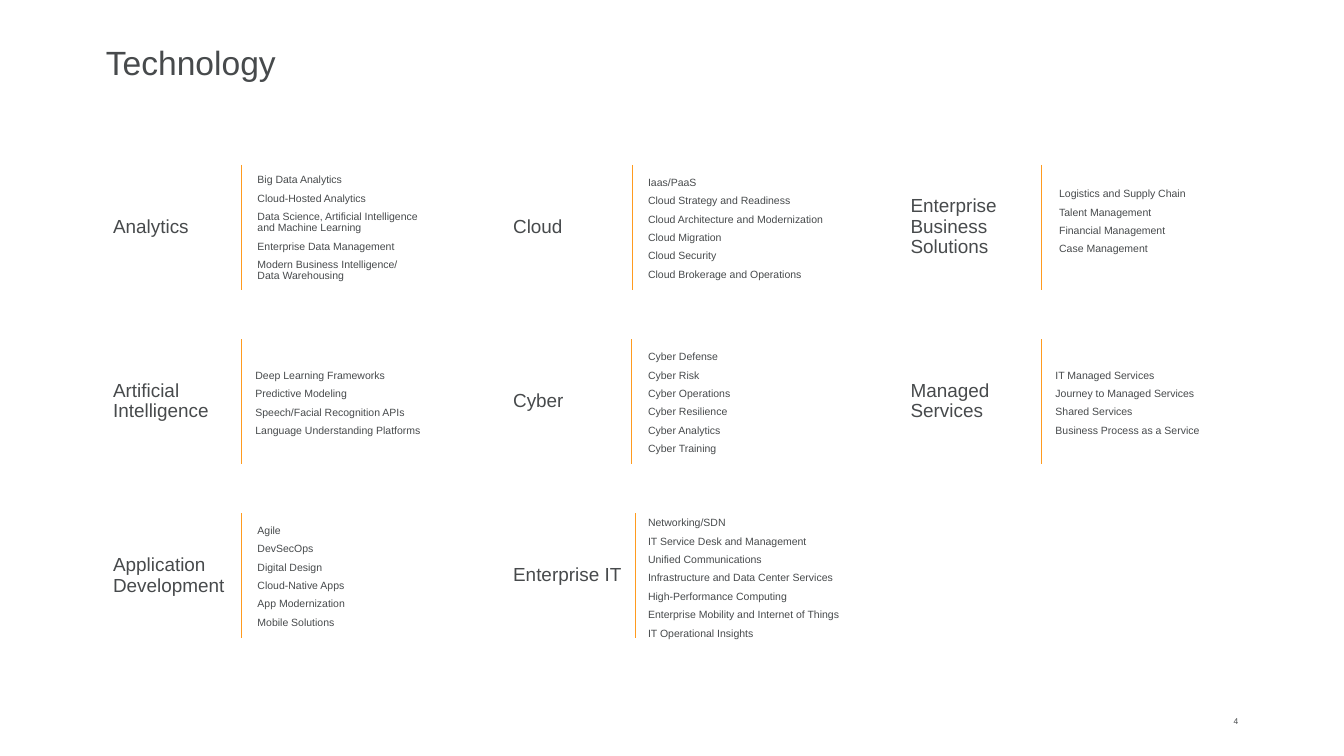
"""Build the Technology slide: a grid of capability topics with their offerings."""
import lxml.etree
import pptx
import pptx.dml.color
import pptx.enum.shapes
import pptx.enum.text
import pptx.oxml.ns
import pptx.util

TOPICS = [
    {"name": "Analytics", "cell": (0, 0), "rule_x": 460, "list_at": (481, 318), "items": [
        "Big Data Analytics", "Cloud-Hosted Analytics",
        "Data Science, Artificial Intelligence\nand Machine Learning",
        "Enterprise Data Management", "Modern Business Intelligence/\nData Warehousing"]},
    {"name": "Cloud", "cell": (0, 1), "rule_x": 1204, "list_at": (1225, 319), "items": [
        "Iaas/PaaS", "Cloud Strategy and Readiness", "Cloud Architecture and Modernization",
        "Cloud Migration", "Cloud Security", "Cloud Brokerage and Operations"]},
    {"name": "Enterprise Business Solutions", "cell": (0, 2), "rule_x": 1983,
     "list_at": (2008, 306), "items": [
        "Logistics and Supply Chain", "Talent Management", "Financial Management",
        "Case Management"]},
    {"name": "Artificial Intelligence", "cell": (1, 0), "rule_x": 460,
     "list_at": (477, 652), "items": [
        "Deep Learning Frameworks", "Predictive Modeling", "Speech/Facial Recognition APIs",
        "Language Understanding Platforms"]},
    {"name": "Cyber", "cell": (1, 1), "rule_x": 1203, "list_at": (1225, 651), "items": [
        "Cyber Defense", "Cyber Risk", "Cyber Operations", "Cyber Resilience",
        "Cyber Analytics", "Cyber Training"]},
    {"name": "Managed Services", "cell": (1, 2), "rule_x": 1983, "list_at": (2001, 651), "items": [
        "IT Managed Services", "Journey to Managed Services", "Shared Services",
        "Business Process as a Service"]},
    {"name": "Application Development", "cell": (2, 0), "rule_x": 460,
     "list_at": (481, 982), "items": [
        "Agile", "DevSecOps", "Digital Design", "Cloud-Native Apps", "App Modernization",
        "Mobile Solutions"]},
    {"name": "Enterprise IT", "cell": (2, 1), "rule_x": 1209, "list_at": (1225, 985), "items": [
        "Networking/SDN", "IT Service Desk and Management", "Unified Communications",
        "Infrastructure and Data Center Services", "High-Performance Computing",
        "Enterprise Mobility and Internet of Things", "IT Operational Insights"]},
]

TEXT_COLOR = pptx.dml.color.RGBColor(0x47, 0x4A, 0x4C)
RULE_COLOR = pptx.dml.color.RGBColor(0xFF, 0x9B, 0x1F)
CARD_COLOR = pptx.dml.color.RGBColor(0xFF, 0xFF, 0xFF)
FONT = "Arial"
EMU_PER_PX = 9525

CARD_LEFTS = (192, 950, 1705)
HEADING_LEFTS = (206, 968, 1725)
FIRST_ROW_TOP, ROW_PITCH = 288, 332
CARD_SIZE = (660, 290)
HEADING_SIZE, HEADING_OFFSET = (280, 89), 100
LIST_SIZE = (384, 234)
RULE_HEIGHT, RULE_OFFSET = 238, 26


def px(*lengths):
    return [pptx.util.Emu(length * EMU_PER_PX) for length in lengths]


def format_paragraph(paragraph, size, alignment=pptx.enum.text.PP_ALIGN.LEFT, spacing=0.9):
    paragraph.alignment = alignment
    paragraph.line_spacing = spacing
    paragraph.font.name = FONT
    paragraph.font.size = pptx.util.Pt(size)
    paragraph.font.color.rgb = TEXT_COLOR


def add_text(slide, position, box_size, lines, size, **formatting):
    frame = slide.shapes.add_textbox(*px(*position, *box_size)).text_frame
    frame.word_wrap = True
    frame.vertical_anchor = pptx.enum.text.MSO_ANCHOR.MIDDLE
    for index, line in enumerate(lines):
        paragraph = frame.add_paragraph() if index else frame.paragraphs[0]
        paragraph.text = line
        paragraph.space_before = pptx.util.Pt(10 if index else 0)
        format_paragraph(paragraph, size, **formatting)


def add_card(slide, left, top):
    card = slide.shapes.add_shape(
        pptx.enum.shapes.MSO_SHAPE.RECTANGLE, *px(left, top, *CARD_SIZE))
    card.shadow.inherit = False
    card.fill.solid()
    card.fill.fore_color.rgb = CARD_COLOR
    card.line.fill.background()


def add_rule(slide, left, top):
    rule = slide.shapes.add_connector(
        pptx.enum.shapes.MSO_CONNECTOR.STRAIGHT, *px(left, top, left, top + RULE_HEIGHT))
    rule.line.color.rgb = RULE_COLOR
    rule.line.width = pptx.util.Pt(0.25)
    lxml.etree.SubElement(rule._element.spPr, pptx.oxml.ns.qn("a:effectLst"))


def add_title(slide, text):
    title = slide.shapes.title
    title.left, title.top, title.width, title.height = px(192, 84, 2176, 144)
    frame = title.text_frame
    frame.text = text
    frame.word_wrap = True
    frame.auto_size = pptx.enum.text.MSO_AUTO_SIZE.NONE
    frame.vertical_anchor = pptx.enum.text.MSO_ANCHOR.TOP
    format_paragraph(frame.paragraphs[0], 48)


def add_topic(slide, topic):
    row, column = topic["cell"]
    top = FIRST_ROW_TOP + row * ROW_PITCH
    add_card(slide, CARD_LEFTS[column], top)
    add_text(slide, (HEADING_LEFTS[column], top + HEADING_OFFSET), HEADING_SIZE,
             [topic["name"]], 27)
    add_rule(slide, topic["rule_x"], top + RULE_OFFSET)
    add_text(slide, topic["list_at"], LIST_SIZE, topic["items"], 15)


def main():
    presentation = pptx.Presentation()
    presentation.slide_width, presentation.slide_height = px(2560, 1440)
    slide = presentation.slides.add_slide(presentation.slide_layouts.get_by_name("Title Only"))
    add_title(slide, "Technology")
    for topic in TOPICS:
        add_topic(slide, topic)
    add_text(slide, (2270, 1358), (98, 33), ["4"], 12,
             alignment=pptx.enum.text.PP_ALIGN.RIGHT, spacing=1.0)
    presentation.save("out.pptx")


if __name__ == "__main__":
    main()
